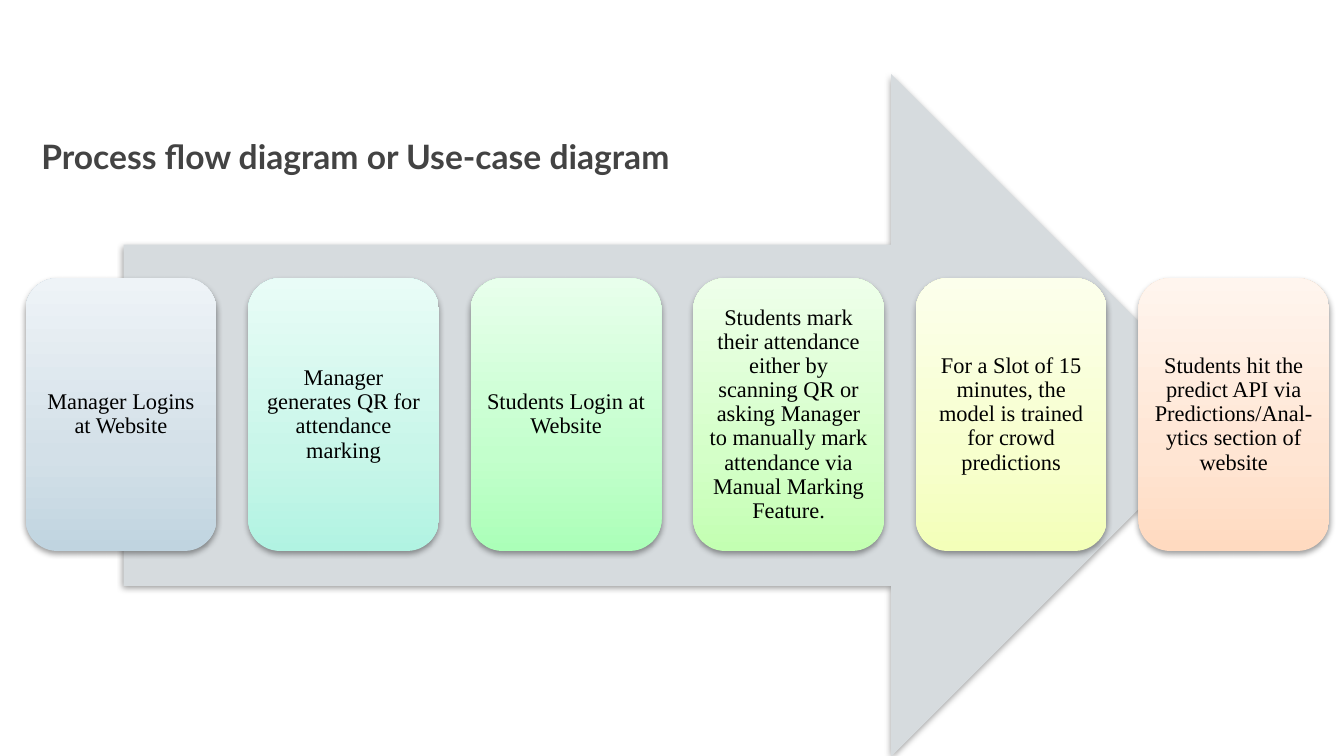
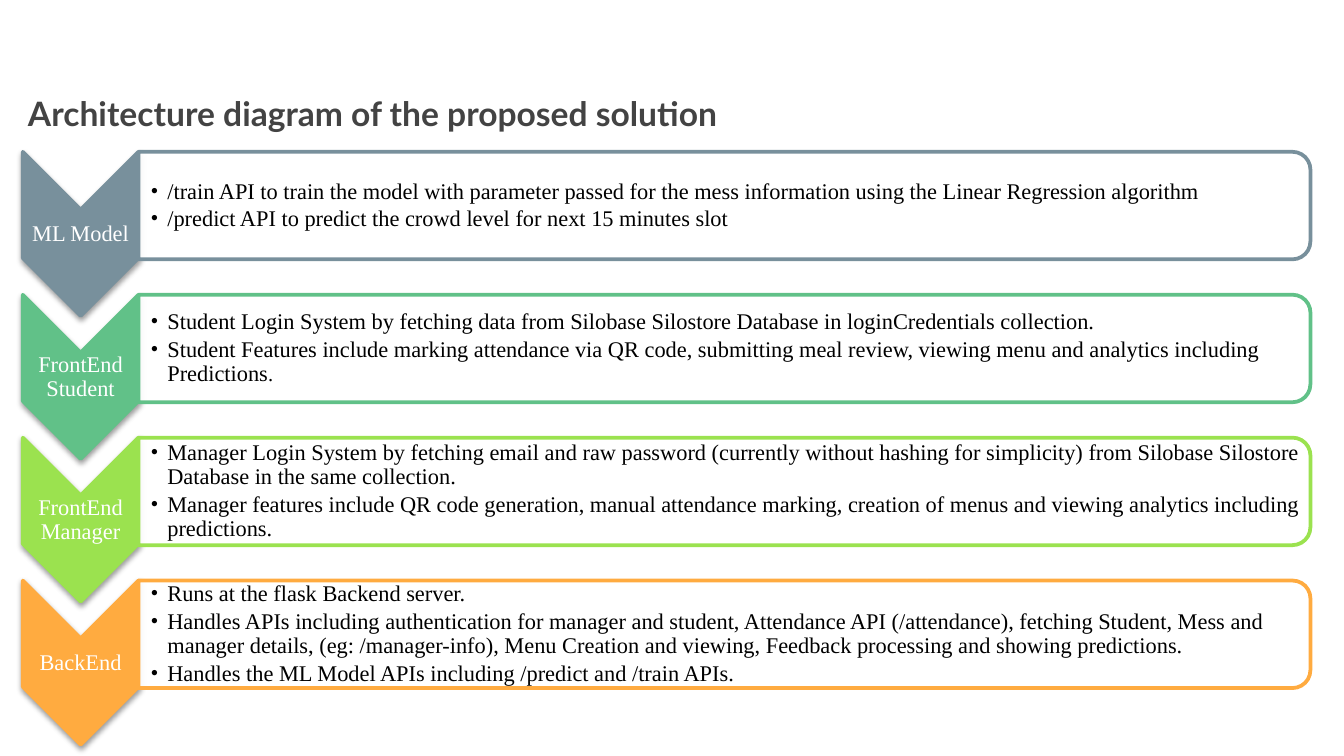
import copy
from dataclasses import dataclass

import pptx
import pptx.dml.color
import pptx.enum.shapes
import pptx.enum.text
import pptx.oxml
import pptx.oxml.ns
import pptx.util
from pptx.util import Inches

SHAPE = pptx.enum.shapes.MSO_SHAPE
ALIGN = pptx.enum.text.PP_ALIGN
ANCHOR = pptx.enum.text.MSO_ANCHOR
NS = pptx.oxml.ns.nsdecls("a")

TITLE_FONT = "Lato"
BODY_FONT = "Times New Roman"
BODY_SIZE = 12
BULLET_INDENT = Inches(1 / 8)
COLORS = {
    "title": "434343", "text": "000000", "label": "FFFFFF", "panel": "FFFFFF",
    "arrow": "D6DBDE", "slate": "78909C", "green": "61C188", "lime": "9BE24F",
    "orange": "FFAB40",
}
# Gradient of each card, from bottom to top
GRADIENTS = {
    "slate": ("C0D4E0", "D3E0E8", "EEF3F7"),
    "teal": ("B1F3E2", "C8F6E9", "E9FCF7"),
    "green": ("ABFFB8", "C3FFCC", "E8FFEC"),
    "lime": ("C3FFB2", "D4FFC8", "EEFFEA"),
    "yellow": ("F3FFB9", "F7FFCD", "FCFFEC"),
    "peach": ("FFDAC0", "FFE5D3", "FFF5EE"),
}
GRADIENT_STOPS = (0, 0.35, 1)


@dataclass(frozen=True)
class Box:
    left: float
    top: float
    width: float
    height: float

    def emu(self) -> tuple:
        return tuple(Inches(v) for v in (self.left, self.top, self.width, self.height))

    def before_quarter_turn(self) -> "Box":
        """Box that covers this one after a 90 degree rotation."""
        shift = (self.width - self.height) / 2
        return Box(self.left + shift, self.top - shift, self.height, self.width)


@dataclass(frozen=True)
class Step:
    gradient: str
    text: str


@dataclass(frozen=True)
class Layer:
    color: str
    label: str
    bullets: tuple
    small_end: str = ""


STEPS = (
    Step("slate", "Manager Logins at Website"),
    Step("teal", "Manager generates QR for attendance marking"),
    Step("green", "Students Login at Website"),
    Step("lime", "Students mark their attendance either by scanning QR or asking Manager "
                 "to manually mark attendance via Manual Marking Feature."),
    Step("yellow", "For a Slot of 15 minutes, the model is trained for crowd predictions"),
    Step("peach", "Students hit the predict API via Predictions/Anal-ytics section of website"),
)
LAYERS = (
    Layer("slate", "ML Model", (
        "/train API to train the model with parameter passed for the mess information "
        "using the Linear Regression algorithm",
        "/predict API to predict the crowd level for next 15 minutes slot")),
    Layer("green", "FrontEnd Student", (
        "Student Login System by fetching data from Silobase Silostore Database in "
        "loginCredentials collection.",
        "Student Features include marking attendance via QR code, submitting meal review, "
        "viewing menu and analytics including Predictions"), small_end="."),
    Layer("lime", "FrontEnd Manager", (
        "Manager Login System by fetching email and raw password (currently without hashing "
        "for simplicity) from Silobase Silostore Database in the same collection.",
        "Manager features include QR code generation, manual attendance marking, creation of "
        "menus and viewing analytics including predictions.")),
    Layer("orange", "BackEnd", (
        "Runs at the flask Backend server.",
        "Handles APIs including authentication for manager and student, Attendance API "
        "(/attendance), fetching Student, Mess and manager details, (eg: /manager-info), "
        "Menu Creation and viewing, Feedback processing and showing predictions.",
        "Handles the ML Model APIs including /predict and /train APIs.")),
)


def rgb(name: str) -> pptx.dml.color.RGBColor:
    return pptx.dml.color.RGBColor.from_string(COLORS[name])


# Text
def set_frame(owner, margins: tuple, anchor=ANCHOR.MIDDLE):
    frame = owner.text_frame
    frame.word_wrap = True
    frame.vertical_anchor = anchor
    (frame.margin_left, frame.margin_top,
     frame.margin_right, frame.margin_bottom) = (Inches(m) for m in margins)
    return frame


def add_run(paragraph, text: str, color: str = "text", size: float = BODY_SIZE,
            font: str = BODY_FONT, bold: bool = False) -> None:
    run = paragraph.add_run()
    run.text = text
    run.font.name = font
    run.font.size = pptx.util.Pt(size)
    run.font.bold = bold
    run.font.color.rgb = rgb(color)


def write_centred(frame, text: str, color: str) -> None:
    paragraph = frame.paragraphs[0]
    paragraph.alignment = ALIGN.CENTER
    paragraph.line_spacing = 0.9
    add_run(paragraph, text, color)


def write_bullets(frame, layer: Layer) -> None:
    for index, text in enumerate(layer.bullets):
        paragraph = frame.add_paragraph() if index else frame.paragraphs[0]
        paragraph.level = 1
        paragraph.line_spacing = 0.9
        paragraph.space_after = pptx.util.Pt(1.8)
        properties = paragraph._p.get_or_add_pPr()
        properties.set("marL", str(BULLET_INDENT))
        properties.set("indent", str(-BULLET_INDENT))
        for mark in (f'<a:buClr {NS}><a:srgbClr val="{COLORS["text"]}"/></a:buClr>',
                     f'<a:buFont {NS} typeface="{BODY_FONT}"/>',
                     f'<a:buChar {NS} char="•"/>'):
            properties.append(pptx.oxml.parse_xml(mark))
        add_run(paragraph, text)
    if layer.small_end:
        add_run(frame.paragraphs[-1], layer.small_end, size=11)


def add_title(slide, box: Box, text: str) -> None:
    title = slide.shapes.add_textbox(*box.emu())
    frame = set_frame(title, (0.1,) * 4, ANCHOR.TOP)
    add_run(frame.paragraphs[0], text, "title", 18, TITLE_FONT, True)


# Shapes
def add_plain(slide, preset, box: Box, fill: str = "", line: str = "",
              shadow: bool = False, turned: bool = False):
    place = box.before_quarter_turn() if turned else box
    shape = slide.shapes.add_shape(preset, *place.emu())
    shape.rotation = 90 if turned else 0
    shape.shadow.inherit = False
    if fill:
        shape.fill.solid()
        shape.fill.fore_color.rgb = rgb(fill)
    if line:
        shape.line.color.rgb = rgb(line)
        shape.line.width = pptx.util.Pt(2)
    else:
        shape.line.fill.background()
    if shadow:
        effects = shape._element.spPr.find(pptx.oxml.ns.qn("a:effectLst"))
        effects.append(pptx.oxml.parse_xml(
            f'<a:outerShdw {NS} blurRad="{pptx.util.Pt(3.1)}" dist="{pptx.util.Pt(1.6)}" '
            'dir="5400000" rotWithShape="0"><a:srgbClr val="000000">'
            '<a:alpha val="38000"/></a:srgbClr></a:outerShdw>'))
    return shape


def fill_gradient(shape, colors: tuple) -> None:
    shape.fill.gradient()
    shape.fill.gradient_angle = 90
    stops = shape._element.spPr.find(".//" + pptx.oxml.ns.qn("a:gsLst"))
    stops.append(copy.deepcopy(stops[0]))
    for stop, position, color in zip(shape.fill.gradient_stops, GRADIENT_STOPS, colors):
        stop.position = position
        stop.color.rgb = pptx.dml.color.RGBColor.from_string(color)


def add_step(slide, box: Box, step: Step) -> None:
    card = add_plain(slide, SHAPE.ROUNDED_RECTANGLE, box, shadow=True)
    fill_gradient(card, GRADIENTS[step.gradient])
    write_centred(set_frame(card, (0.05,) * 4), step.text, "text")


def add_layer(slide, top: float, layer: Layer) -> None:
    add_plain(slide, SHAPE.CHEVRON, Box(0.17, top, 0.86, 1.22),
              layer.color, layer.color, shadow=True, turned=True)
    label = slide.shapes.add_textbox(*Box(0.17, top + 0.43, 0.86, 0.37).emu())
    write_centred(set_frame(label, (0.01,) * 4), layer.label, "label")

    panel = add_plain(slide, SHAPE.ROUND_2_SAME_RECTANGLE, Box(1.03, top, 8.72, 0.8),
                      "panel", layer.color, turned=True)
    panel_color = panel._element.spPr.find(
        pptx.oxml.ns.qn("a:solidFill") + "/" + pptx.oxml.ns.qn("a:srgbClr"))
    panel_color.append(pptx.oxml.parse_xml(f'<a:alpha {NS} val="90000"/>'))
    details = slide.shapes.add_textbox(*Box(1.03, top + 0.04, 8.68, 0.72).emu())
    write_bullets(set_frame(details, (0.09, 0.01, 0.01, 0.01)), layer)


# Slides
def build_process(slide) -> None:
    add_title(slide, Box(0.21, 0.91, 9.59, 0.56), "Process flow diagram or Use-case diagram")
    add_plain(slide, SHAPE.RIGHT_ARROW, Box(0.92, 0.55, 8.25, 5.08), "arrow", shadow=True)
    pitch = (8.47 - 0.19) / (len(STEPS) - 1)
    for index, step in enumerate(STEPS):
        add_step(slide, Box(0.19 + index * pitch, 2.07, 1.42, 2.03), step)


def build_architecture(slide) -> None:
    add_title(slide, Box(0.11, 0.59, 9.65, 0.65),
              "Architecture diagram of the proposed solution")
    pitch = (4.32 - 1.13) / (len(LAYERS) - 1)
    for index, layer in enumerate(LAYERS):
        add_layer(slide, 1.13 + index * pitch, layer)


def main() -> None:
    deck = pptx.Presentation()
    # Widescreen, 16:9
    deck.slide_width = Inches(10)
    deck.slide_height = Inches(10 * 9 / 16)
    for build in (build_process, build_architecture):
        build(deck.slides.add_slide(deck.slide_layouts[6]))
    deck.save("out.pptx")


if __name__ == "__main__":
    main()
